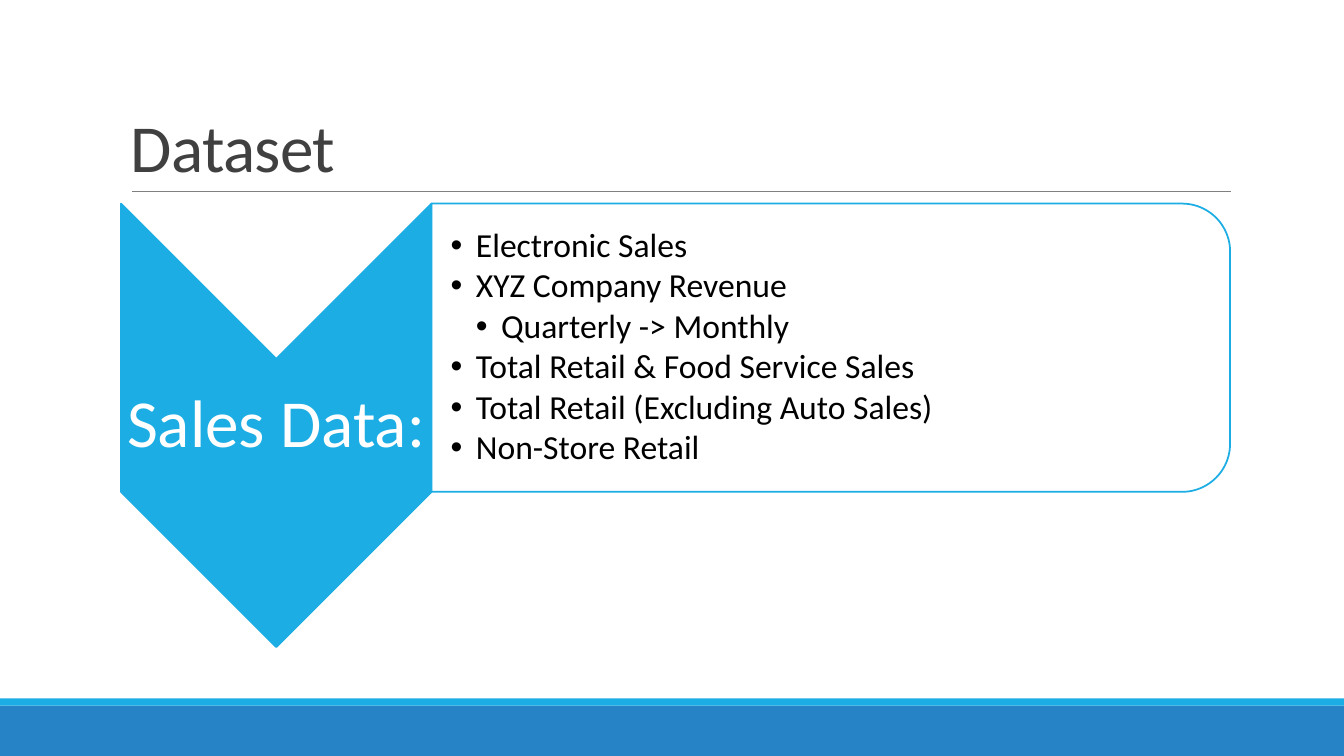
from typing import NamedTuple

from lxml import etree
from pptx import Presentation
from pptx.dml.color import RGBColor
from pptx.enum.shapes import MSO_CONNECTOR, MSO_SHAPE
from pptx.enum.text import MSO_ANCHOR, PP_ALIGN
from pptx.oxml.ns import qn
from pptx.util import Pt

EMU_PER_PX = 9144  # 100 px to the inch
FONT = "Calibri"
WHITE, BLACK, GREY, TITLE_GREY = "FFFFFF", "000000", "808080", "404040"
CYAN, BLUE = "1CADE4", "2683C6"
RECT, CHEVRON = MSO_SHAPE.RECTANGLE, MSO_SHAPE.CHEVRON
ROUND_TOP = MSO_SHAPE.ROUND_2_SAME_RECTANGLE
MIDDLE, BOTTOM = MSO_ANCHOR.MIDDLE, MSO_ANCHOR.BOTTOM
LEFT, CENTER = PP_ALIGN.LEFT, PP_ALIGN.CENTER
BULLET_INDENT = 25


class Box(NamedTuple):
    left: int
    top: int
    width: int
    height: int


class Panel(NamedTuple):
    preset: MSO_SHAPE
    box: Box
    fill: str
    outline: str | None = None
    rotation: int = 0
    opacity: int = 100


class Line(NamedTuple):
    text: str
    level: int = 0


class TextBlock(NamedTuple):
    box: Box
    lines: list[Line]
    size: int
    color: str
    insets: Box
    anchor: MSO_ANCHOR = MIDDLE
    align: PP_ALIGN = LEFT
    line_spacing: float = 0.9
    space_after: int = 0
    tracking: int = 0  # hundredths of a point
    bulleted: bool = False


PANELS = [
    # Footer bands
    Panel(RECT, Box(0, 700, 1333, 50), BLUE),
    Panel(RECT, Box(0, 693, 1333, 7), CYAN),
    # Downward chevron and the rounded panel beside it
    Panel(CHEVRON, Box(54, 268, 440, 308), CYAN, CYAN, 90),
    Panel(ROUND_TOP, Box(681, -51, 286, 792), WHITE, CYAN, 90, 90),
]

TEXTS = [
    TextBlock(Box(120, 31, 1100, 159), [Line("Dataset")], 48, TITLE_GREY,
              Box(10, 5, 10, 5), anchor=BOTTOM, line_spacing=0.85, tracking=-50),
    TextBlock(Box(120, 356, 308, 132), [Line("Sales Data:")], 48, WHITE,
              Box(3, 3, 3, 3), align=CENTER),
    TextBlock(Box(428, 216, 778, 258), [
        Line("Electronic Sales"),
        Line("XYZ Company Revenue"),
        Line("Quarterly -> Monthly", level=1),
        Line("Total Retail & Food Service Sales"),
        Line("Total Retail (Excluding Auto Sales)"),
        Line("Non-Store Retail"),
    ], 24, BLACK, Box(19, 2, 2, 2), space_after=3, bulleted=True),
]


def px(length: int) -> int:
    return length * EMU_PER_PX


def rgb(color: str) -> RGBColor:
    return RGBColor.from_string(color)


def draw_panel(slide, panel: Panel) -> None:
    shape = slide.shapes.add_shape(panel.preset, *map(px, panel.box))
    shape.shadow.inherit = False
    shape.rotation = panel.rotation
    shape.fill.solid()
    shape.fill.fore_color.rgb = rgb(panel.fill)
    if panel.opacity < 100:
        fill_color = shape.fill._xPr.find(qn("a:solidFill"))[0]
        etree.SubElement(fill_color, qn("a:alpha"), val=str(panel.opacity * 1000))
    if panel.outline:
        shape.line.color.rgb = rgb(panel.outline)
        shape.line.width = Pt(1.25)
    else:
        shape.line.fill.background()


def draw_rule(slide) -> None:
    rule = slide.shapes.add_connector(
        MSO_CONNECTOR.STRAIGHT, px(131), px(190), px(1221), px(190))
    rule.line.color.rgb = rgb(GREY)
    rule.line.width = Pt(0.5)
    etree.SubElement(rule._element.spPr, qn("a:effectLst"))


def add_bullet(paragraph, level: int) -> None:
    properties = paragraph._p.get_or_add_pPr()
    properties.set("marL", str(px(BULLET_INDENT * (level + 1))))
    properties.set("indent", str(px(-BULLET_INDENT)))
    etree.SubElement(properties, qn("a:buFont"), typeface="Arial")
    etree.SubElement(properties, qn("a:buChar"), char="•")


def draw_text(slide, block: TextBlock) -> None:
    frame = slide.shapes.add_textbox(*map(px, block.box)).text_frame
    frame.word_wrap = True
    frame.vertical_anchor = block.anchor
    (frame.margin_left, frame.margin_top,
     frame.margin_right, frame.margin_bottom) = map(px, block.insets)
    for index, line in enumerate(block.lines):
        paragraph = frame.add_paragraph() if index else frame.paragraphs[0]
        run = paragraph.add_run()
        run.text = line.text
        if block.tracking:
            run._r.get_or_add_rPr().set("spc", str(block.tracking))
        paragraph.level = line.level
        paragraph.alignment = block.align
        paragraph.line_spacing = block.line_spacing
        paragraph.space_after = Pt(block.space_after)
        if block.bulleted:
            add_bullet(paragraph, line.level)
        paragraph.font.name = FONT
        paragraph.font.size = Pt(block.size)
        paragraph.font.color.rgb = rgb(block.color)


def main() -> None:
    deck = Presentation()
    deck.slide_width, deck.slide_height = px(1333), px(750)
    slide = deck.slides.add_slide(deck.slide_layouts[6])
    for panel in PANELS:
        draw_panel(slide, panel)
    draw_rule(slide)
    for block in TEXTS:
        draw_text(slide, block)
    deck.save("out.pptx")


if __name__ == "__main__":
    main()
